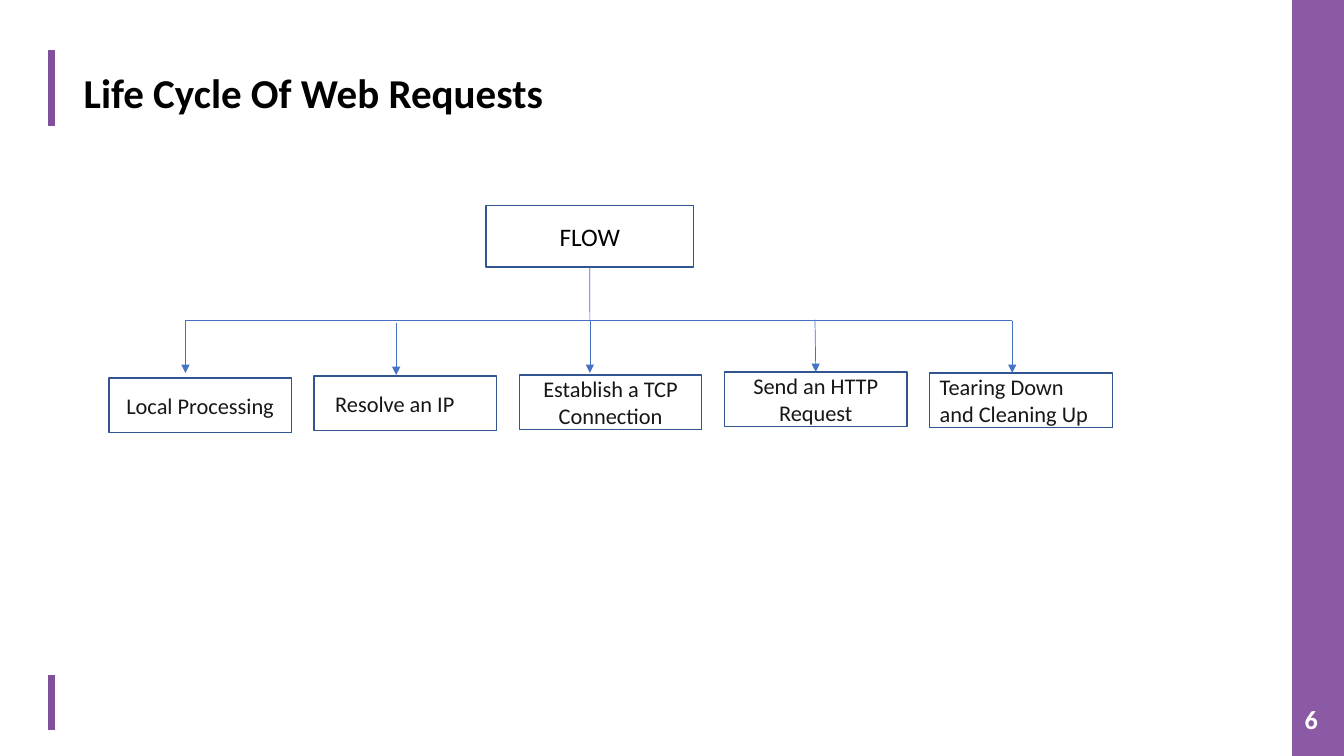
"""Build the slide showing the life cycle of web requests as a flow chart."""
from lxml.etree import SubElement
from pptx import Presentation
from pptx.dml.color import RGBColor
from pptx.enum.shapes import MSO_CONNECTOR, MSO_SHAPE
from pptx.enum.text import MSO_ANCHOR, PP_ALIGN
from pptx.oxml.ns import qn
from pptx.util import Inches, Pt


def color(hex_code):
    return RGBColor.from_string(hex_code)


def write(shape, text, size, ink="171717", bold=False, align=PP_ALIGN.CENTER,
          anchor=MSO_ANCHOR.MIDDLE, left=0.1, side=0.1, vertical=0, spacing=1.0):
    frame = shape.text_frame
    frame.word_wrap = True
    frame.vertical_anchor = anchor
    frame.margin_left, frame.margin_right = Inches(left), Inches(side)
    frame.margin_top = frame.margin_bottom = Inches(vertical)
    paragraph = frame.paragraphs[0]
    paragraph.alignment = align
    paragraph.line_spacing = spacing
    run = paragraph.add_run()
    run.text = text
    run.font.name = "Calibri"
    run.font.size = Pt(size)
    run.font.bold = bold
    run.font.color.rgb = color(ink)


presentation = Presentation()
presentation.slide_width, presentation.slide_height = Inches(13.33), Inches(7.5)
column = presentation.slide_width / 100
row = presentation.slide_height / 100
slide = presentation.slides.add_slide(presentation.slide_layouts[5])
shapes = slide.shapes

band = shapes.add_shape(MSO_SHAPE.RECTANGLE, int(96.15 * column), 0,
                        int(3.85 * column), presentation.slide_height)
band.shadow.inherit = False
band.fill.solid()
band.fill.fore_color.rgb = color("8C5AA5")
band.line.fill.background()

page_number = shapes.add_textbox(int(96.55 * column), int(92.67 * row),
                                 int(3.3 * column), int(5.07 * row))
write(page_number, "6", 18.7, ink="FFFFFF", bold=True, align=PP_ALIGN.LEFT,
      anchor=MSO_ANCHOR.TOP, left=0.07, side=0.07, vertical=0.03)

title = shapes.title
title.left, title.top = int(5.48 * column), int(8.93 * row)
title.width, title.height = int(87.32 * column), int(7.2 * row)
write(title, "Life Cycle Of Web Requests", 29.3, ink="000000", bold=True,
      align=PP_ALIGN.LEFT, vertical=0.05, spacing=0.9)

step_left, step_pitch, step_width, step_height = 8.1, 15.27, 13.58, 7.2
steps = [
    ("Local Processing", 50, {}),
    ("Resolve an IP", 49.73, {"align": PP_ALIGN.LEFT, "left": 0.21}),
    ("Establish a TCP Connection", 49.6, {}),
    ("Send an HTTP Request", 49.2, {}),
    ("Tearing Down and Cleaning Up", 49.33, {"align": PP_ALIGN.LEFT}),
]
boxes = [("FLOW", 36.16, 27.2, 15.45, 8.13, {"size": 18, "ink": "000000"})]
for index, (text, top, style) in enumerate(steps):
    left = step_left + index * step_pitch
    boxes.append((text, left, top, step_width, step_height, {"size": 16, **style}))

drawn = {}
for text, left, top, width, height, style in boxes:
    box = shapes.add_shape(MSO_SHAPE.RECTANGLE, int(left * column), int(top * row),
                           int(width * column), int(height * row))
    box.shadow.inherit = False
    box.fill.solid()
    box.fill.fore_color.rgb = color("FFFFFF")
    box.line.color.rgb = color("325491")
    box.line.width = Pt(1)
    write(box, text, **style)
    drawn[text] = box

bus, drop, trunk = 42.4, 6.93, 43.89
purple, blue = ("81509B", 5, False), ("4472C4", 0.5, False)
arrow = ("4472C4", 0.5, True)
lines = [
    (3.83, 6.67, 3.83, 16.67, purple, None, None),
    (3.83, 89.33, 3.83, 96.53, purple, None, None),
    (trunk, 35.33, trunk, bus, blue, "FLOW", None),
    (trunk, bus, 75.32, bus, blue, None, None),
    (13.8, bus, 45.16, bus, blue, None, None),
]
for x, start, target in [(13.8, bus, None), (29.48, 42.67, None), (trunk, bus, None),
                         (60.64, 42.27, "Send an HTTP Request"), (75.32, bus, None)]:
    lines.append((x, start, x, start + drop, arrow, None, target))

for x1, y1, x2, y2, (ink, weight, has_head), source, target in lines:
    connector = shapes.add_connector(MSO_CONNECTOR.STRAIGHT, int(x1 * column), int(y1 * row),
                                     int(x2 * column), int(y2 * row))
    connector.line.color.rgb = color(ink)
    connector.line.width = Pt(weight)
    if has_head:
        SubElement(connector.line._get_or_add_ln(), qn("a:tailEnd"), type="triangle")
    SubElement(connector._element.spPr, qn("a:effectLst"))
    if source:
        connector.begin_connect(drawn[source], 2)
    if target:
        connector.end_connect(drawn[target], 0)

presentation.save("out.pptx")
